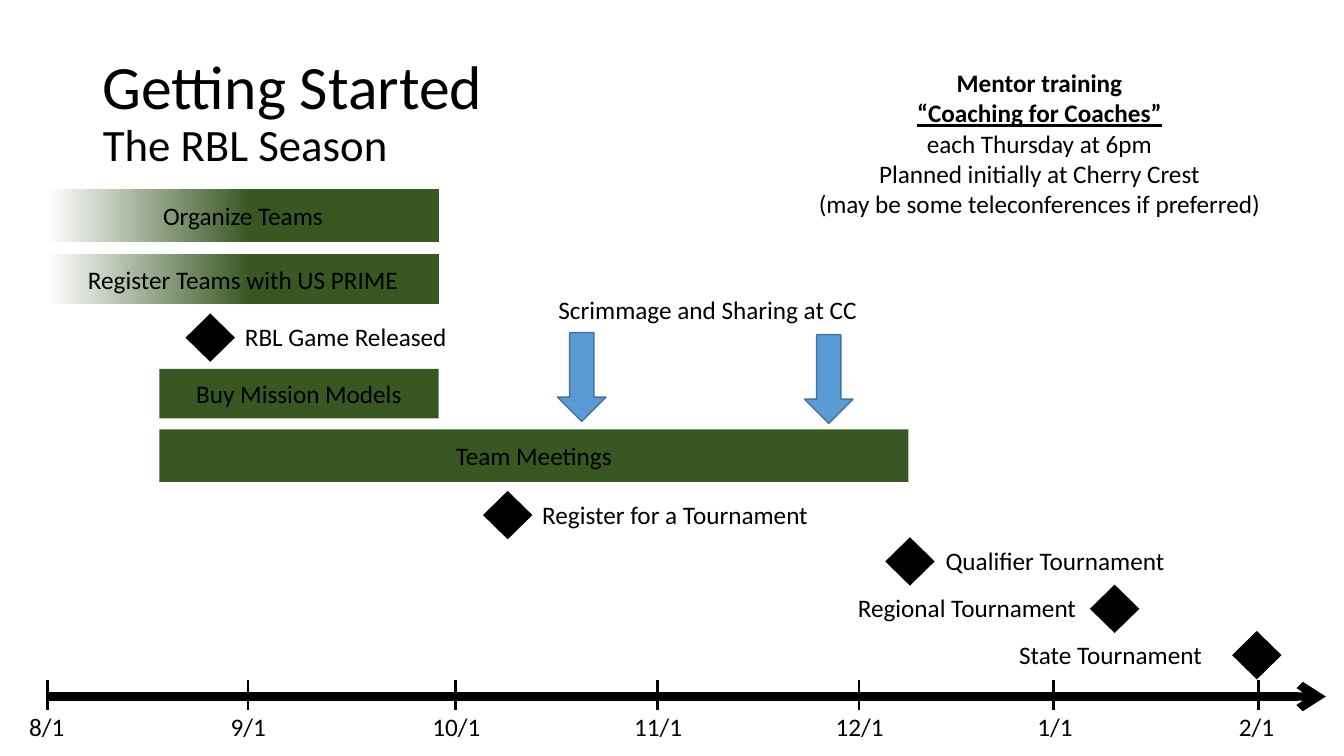
from dataclasses import dataclass
from typing import Any

from lxml.etree import SubElement
from pptx import Presentation
from pptx.dml.color import RGBColor
from pptx.enum.shapes import MSO_CONNECTOR, MSO_SHAPE
from pptx.enum.text import MSO_ANCHOR as Anchor, MSO_AUTO_SIZE as AutoSize, PP_ALIGN as Align
from pptx.oxml.ns import qn
from pptx.util import Inches, Pt


@dataclass(frozen=True)
class Theme:
    font: str = "Calibri"
    ink: RGBColor = RGBColor(0x00, 0x00, 0x00)
    paper: RGBColor = RGBColor(0xFF, 0xFF, 0xFF)
    green: RGBColor = RGBColor(0x38, 0x57, 0x23)
    blue: RGBColor = RGBColor(0x5B, 0x9B, 0xD5)
    blue_edge: RGBColor = RGBColor(0x43, 0x73, 0x9E)
    title: int = 44
    subtitle: int = 32
    body: int = 18


@dataclass(frozen=True)
class Bar:
    text: str
    left: float
    top: float
    width: float
    height: float = 0.52
    fades_in: bool = False


@dataclass(frozen=True)
class Milestone:
    text: str
    left: float
    top: float
    label_left: float
    label_width: float


@dataclass(frozen=True)
class Line:
    text: str
    bold: bool = False
    underline: bool = False


THEME = Theme()
DIAMOND = (0.49, 0.48)
ARROW = (0.48, 0.88)
LABEL_HEIGHT = 0.4
AXIS_Y, AXIS_START, AXIS_END = 6.91, 0.46, 13.15
TICK_TOP, TICK_BOTTOM = 6.75, 7.04
TICKS = (0.47, 2.46, 4.52, 6.52, 8.52, 10.45, 12.48)
DATES = ("8/1", "9/1", "10/1", "11/1", "12/1", "1/1", "2/1")
TABS_PER_DATE = 2

BARS = (
    Bar("Organize Teams", 0.47, 1.88, 3.88, fades_in=True),
    Bar("Register Teams with US PRIME", 0.47, 2.52, 3.88, 0.5, fades_in=True),
    Bar("Buy Mission Models", 1.58, 3.66, 2.77, 0.49),
    Bar("Team Meetings", 1.58, 4.26, 7.43),
)
MILESTONES = (
    Milestone("RBL Game Released", 1.84, 3.11, 2.33, 2.25),
    Milestone("Register for a Tournament", 4.79, 4.87, 5.28, 2.87),
    Milestone("Qualifier Tournament", 8.78, 5.33, 9.28, 2.4),
    Milestone("Regional Tournament", 10.81, 5.8, 8.41, 2.39),
    Milestone("State Tournament", 12.22, 6.26, 10.01, 2.03),
)
SCRIMMAGES = ((5.53, 3.3), (7.98, 3.32))
TRAINING = (
    Line("Mentor training", bold=True),
    Line("“Coaching for Coaches”", bold=True, underline=True),
    Line("each Thursday at 6pm"),
    Line("Planned initially at Cherry Crest"),
    Line("(may be some teleconferences if preferred)"),
)


def add_span(para: Any, text: str, size: int = THEME.body, **extra: Any) -> None:
    span = para.add_run()
    span.text = text
    span.font.color.rgb = THEME.ink
    for name, value in {"name": THEME.font, "size": Pt(size), **extra}.items():
        setattr(span.font, name, value)


def add_title(page: Any) -> None:
    title = page.shapes.title
    place = {"left": 0.92, "top": 0.4, "width": 11.5, "height": 1.45}
    for name, value in place.items():
        setattr(title, name, Inches(value))
    title.text_frame.vertical_anchor = Anchor.MIDDLE
    para = title.text_frame.paragraphs[0]
    para.alignment, para.line_spacing = Align.LEFT, 0.9
    add_span(para, "Getting Started", THEME.title)
    para.add_line_break()
    add_span(para, "The RBL Season", THEME.subtitle)


def add_plain_shape(page: Any, kind: MSO_SHAPE, left: float, top: float,
                    size: tuple[float, float], color: RGBColor) -> Any:
    """Add a filled shape with neither outline nor shadow."""
    shape = page.shapes.add_shape(kind, *map(Inches, (left, top, *size)))
    shape.shadow.inherit = False
    shape.fill.solid()
    shape.fill.fore_color.rgb = color
    shape.line.fill.background()
    return shape


def add_bar(page: Any, bar: Bar) -> None:
    shape = add_plain_shape(page, MSO_SHAPE.RECTANGLE, bar.left, bar.top,
                            (bar.width, bar.height), THEME.green)
    if bar.fades_in:
        shape.fill.gradient()
        shape.fill.gradient_angle = 0
        stops = ((0, THEME.paper), (0.52, THEME.green))
        for stop, (position, color) in zip(shape.fill.gradient_stops, stops):
            stop.position, stop.color.rgb = position, color
    shape.text_frame.vertical_anchor = Anchor.MIDDLE
    para = shape.text_frame.paragraphs[0]
    para.alignment = Align.CENTER
    add_span(para, bar.text)


def add_label(page: Any, lines: tuple[Line, ...], left: float, top: float, width: float,
              height: float = LABEL_HEIGHT, align: Align = Align.LEFT) -> Any:
    box = page.shapes.add_textbox(*map(Inches, (left, top, width, height)))
    frame = box.text_frame
    frame.word_wrap, frame.auto_size = False, AutoSize.SHAPE_TO_FIT_TEXT
    for index, line in enumerate(lines):
        para = frame.add_paragraph() if index else frame.paragraphs[0]
        para.alignment = align
        add_span(para, line.text, bold=line.bold, underline=line.underline)
    return box


def add_milestone(page: Any, item: Milestone) -> None:
    add_plain_shape(page, MSO_SHAPE.DIAMOND, item.left, item.top, DIAMOND, THEME.ink)
    add_label(page, (Line(item.text),), item.label_left, item.top + 0.03, item.label_width)


def add_line(page: Any, start: tuple[float, float], end: tuple[float, float],
             width: float) -> Any:
    line = page.shapes.add_connector(MSO_CONNECTOR.STRAIGHT, *map(Inches, (*start, *end)))
    line.line.color.rgb = THEME.ink
    line.line.width = Pt(width)
    SubElement(line.element.spPr, qn("a:effectLst"))
    return line


def add_dates(page: Any) -> None:
    """Space the dates with tab stops one inch apart."""
    text = ("\t" * TABS_PER_DATE).join(DATES)
    box = add_label(page, (Line(text),), 0.19, 7.01, 12.67)
    properties = box.text_frame.paragraphs[0].alignment is not None
    para = box.text_frame.paragraphs[0]
    tabs = SubElement(para._p.get_or_add_pPr(), qn("a:tabLst"))
    for inch in range(1, TABS_PER_DATE * (len(DATES) - 1) + 1):
        SubElement(tabs, qn("a:tab"), pos=str(Inches(inch)), algn="l")


def add_time_axis(page: Any) -> None:
    axis = add_line(page, (AXIS_START, AXIS_Y), (AXIS_END, AXIS_Y), 6)
    SubElement(axis.element.spPr.find(qn("a:ln")), qn("a:tailEnd"), type="arrow")
    add_dates(page)
    for x in TICKS:
        add_line(page, (x, TICK_TOP), (x, TICK_BOTTOM), 2)


def add_scrimmages(page: Any) -> None:
    for left, top in SCRIMMAGES:
        arrow = add_plain_shape(page, MSO_SHAPE.DOWN_ARROW, left, top, ARROW, THEME.blue)
        arrow.line.color.rgb = THEME.blue_edge
        arrow.line.width = Pt(1)
    add_label(page, (Line("Scrimmage and Sharing at CC"),), 5.44, 2.87, 3.2)


def main() -> None:
    deck = Presentation()
    deck.slide_width, deck.slide_height = Inches(13.33), Inches(7.5)
    page = deck.slides.add_slide(deck.slide_layouts.get_by_name("Title Only"))
    add_title(page)
    add_time_axis(page)
    for bar in BARS:
        add_bar(page, bar)
    for item in MILESTONES:
        add_milestone(page, item)
    add_scrimmages(page)
    add_label(page, TRAINING, 7.96, 0.62, 4.7, 1.62, Align.CENTER)
    deck.save("out.pptx")


if __name__ == "__main__":
    main()
